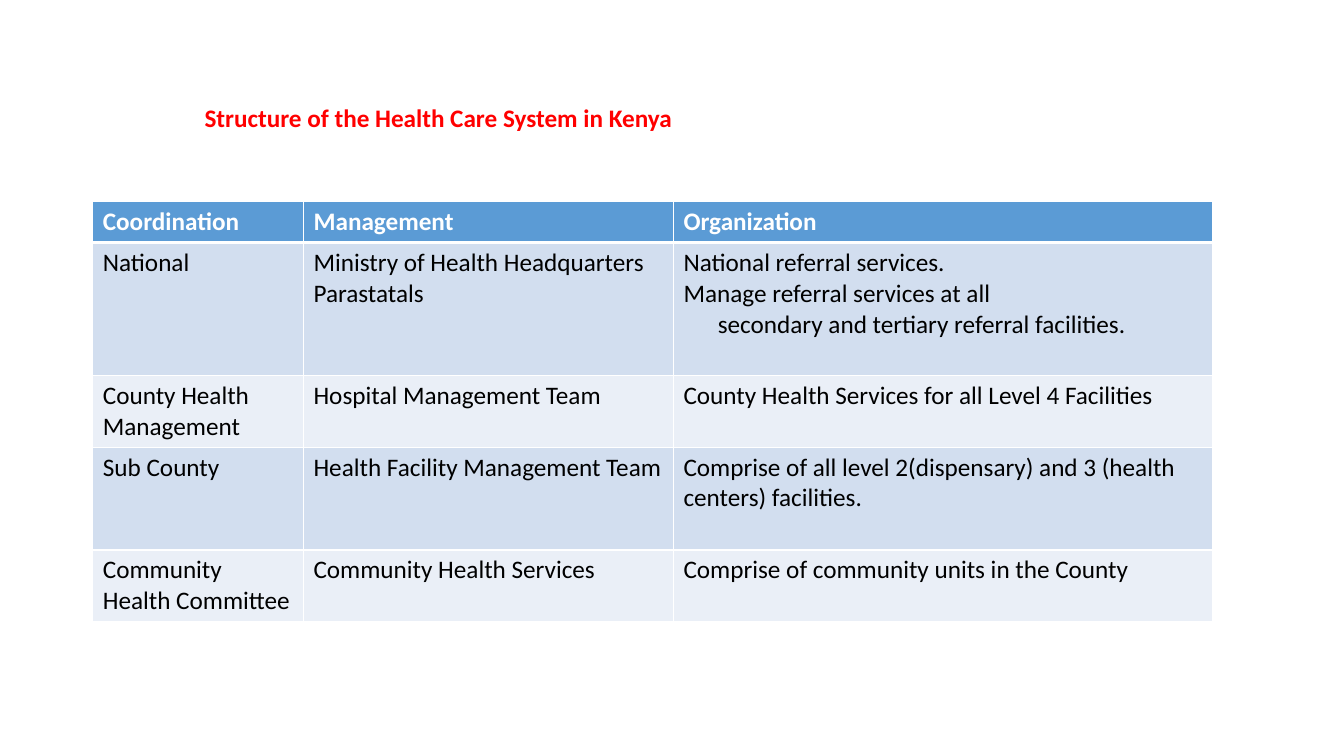
from lxml.etree import SubElement
from pptx import Presentation
from pptx.dml.color import RGBColor
from pptx.oxml.ns import qn
from pptx.util import Inches, Pt

COLORS = {"title": "FF0000", "head": "5B9BD5", "odd": "D2DEEF",
          "even": "EAEFF7", "white": "FFFFFF", "text": "000000"}
WIDTHS = [2.09, 3.67, 5.35]
HEIGHTS = [0.4, 1.32, 0.7, 1.02, 0.7]
ROWS = [
    ["Coordination", "Management", "Organization"],
    ["National", "Ministry of Health Headquarters\nParastatals",
     "National referral services.\nManage referral services at all\n"
     "secondary and tertiary referral facilities."],
    ["County Health Management", "Hospital Management Team",
     "County Health Services for all Level 4 Facilities"],
    ["Sub County", "Health Facility Management Team",
     "Comprise of all level 2(dispensary) and 3 (health centers) facilities."],
    ["Community Health Committee", "Community Health Services",
     "Comprise of community units in the County"],
]


def color(name):
    return RGBColor.from_string(COLORS[name])


def write(frame, text, tint, bold):
    frame.text = text
    for para in frame.paragraphs:
        for run in para.runs:
            font = run.font
            font.name, font.size, font.bold = "Calibri", Pt(18), bold
            font.color.rgb = color(tint)


def add_edges(cell, top, bottom):
    """Draw white cell borders, 1 pt at the sides."""
    props = cell._tc.get_or_add_tcPr()
    edges = {"a:lnL": 1, "a:lnR": 1, "a:lnT": top, "a:lnB": bottom}
    for place, (tag, width) in enumerate(edges.items()):
        line = SubElement(props, qn(tag), w=str(Pt(width)))
        fill = SubElement(line, qn("a:solidFill"))
        SubElement(fill, qn("a:srgbClr"), val=COLORS["white"])
        props.insert(place, line)


def add_title(slide, left, top, width, height):
    box = slide.shapes.add_textbox(*map(Inches, (left, top, width, height)))
    box.text_frame.word_wrap = True
    write(box.text_frame, "Structure of the Health Care System in Kenya",
          "title", True)


def add_grid(slide, left, top):
    box = map(Inches, (left, top, sum(WIDTHS), sum(HEIGHTS)))
    table = slide.shapes.add_table(len(ROWS), len(WIDTHS), *box).table
    for column, width in zip(table.columns, WIDTHS):
        column.width = Inches(width)
    for i, (row, height) in enumerate(zip(table.rows, HEIGHTS)):
        row.height = Inches(height)
        head = i == 0
        shade = "head" if head else "odd" if i % 2 else "even"
        for cell, text in zip(row.cells, ROWS[i]):
            cell.fill.solid()
            cell.fill.fore_color.rgb = color(shade)
            add_edges(cell, 3 if i == 1 else 1, 3 if head else 1)
            write(cell.text_frame, text, "white" if head else "text", head)
    detail = table.cell(1, 2).text_frame.paragraphs[-1]
    detail._p.get_or_add_pPr().set("marL", str(Inches(0.34)))


def main():
    deck = Presentation()
    deck.slide_width, deck.slide_height = Inches(13.33), Inches(7.5)
    slide = deck.slides.add_slide(deck.slide_layouts[6])
    add_grid(slide, 0.92, 2)
    add_title(slide, 1.93, 0.97, 8.79, 0.4)
    deck.save("out.pptx")


if __name__ == "__main__":
    main()
